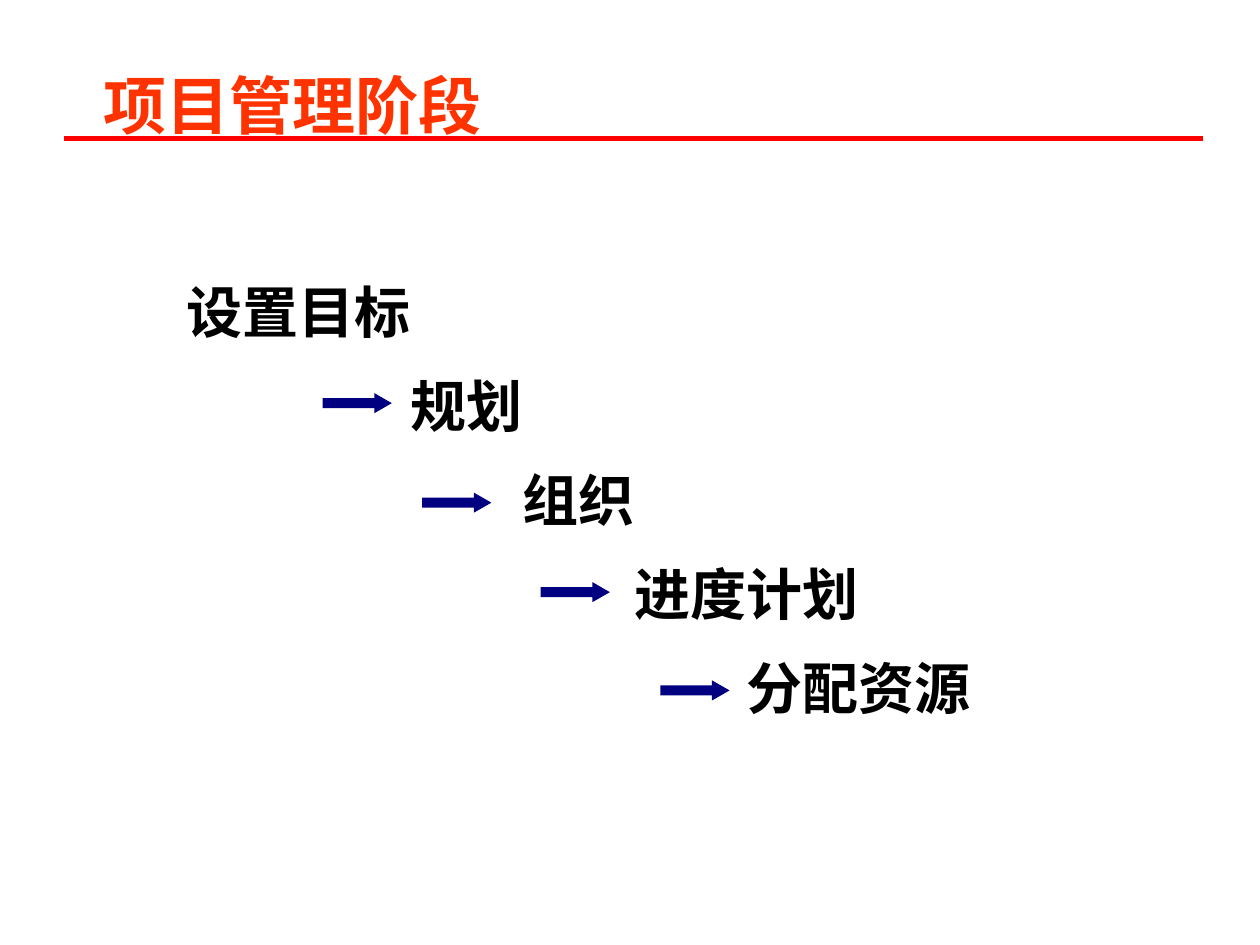
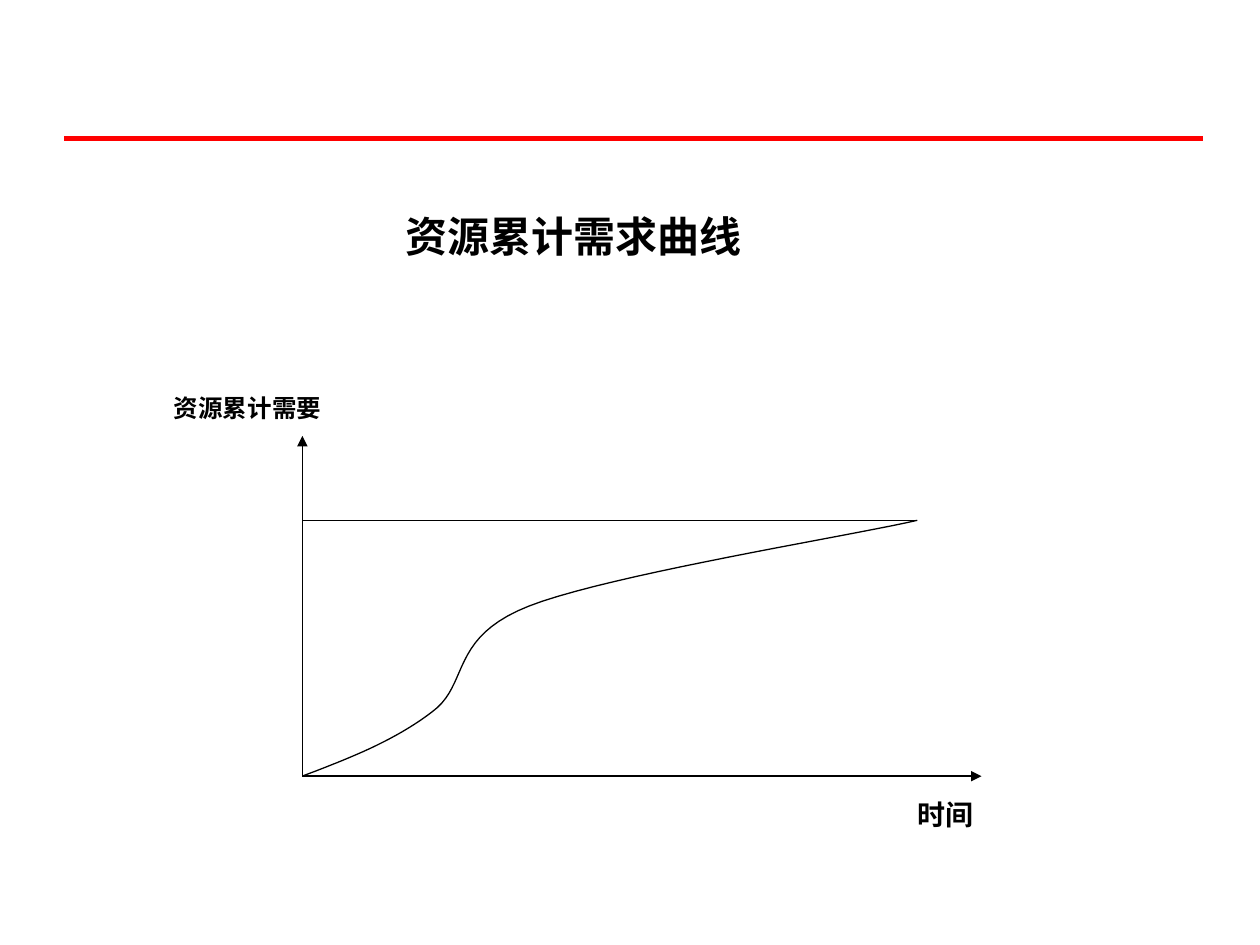
from dataclasses import dataclass

from lxml.etree import SubElement
from pptx import Presentation
from pptx.dml.color import RGBColor
from pptx.enum.shapes import MSO_CONNECTOR, MSO_SHAPE
from pptx.enum.text import MSO_ANCHOR, PP_ALIGN
from pptx.oxml.ns import qn
from pptx.util import Inches, Pt


@dataclass(frozen=True)
class Theme:
    title_color: RGBColor = RGBColor(0xFF, 0x33, 0x00)
    rule_color: RGBColor = RGBColor(0xFF, 0x00, 0x00)
    arrow_color: RGBColor = RGBColor(0x00, 0x00, 0x80)
    ink: RGBColor = RGBColor(0x00, 0x00, 0x00)
    sans: str = "Arial"
    serif: str = "Times New Roman"
    title_size: int = 36
    phase_size: int = 32
    heading_size: int = 24
    time_size: int = 16
    demand_size: int = 14
    rule_width: float = 3
    thin_width: float = 0.75


THEME = Theme()

# Phase names with their indent, counted in full-width characters
PHASES = [("设置目标", 0), ("规划", 4), ("组织", 6), ("进度计划", 8), ("分配资源", 10)]
PHASE_ARROWS = [(2.56, 3.12), (3.35, 3.91), (4.29, 4.62), (5.24, 5.4)]

# Chart corners and the Bezier segments of the demand curve
ORIGIN = (2.4, 6.16)
TIME_END = (7.79, 6.16)
DEMAND_END = (2.4, 3.46)
LIMIT_START = (2.4, 4.13)
CURVE_END = (7.28, 4.13)
CURVE = [
    (ORIGIN, (2.77, 6.02), (3.13, 5.88), (3.43, 5.65)),
    ((3.43, 5.65), (3.73, 5.43), (3.56, 5.06), (4.2, 4.81)),
    ((4.2, 4.81), (4.84, 4.56), (6.77, 4.25), CURVE_END),
]
CURVE_STEPS = 20


def apply_format(target, values):
    for name, value in values.items():
        setattr(target, name, value)


def add_text(page, area, lines, size, color=THEME.ink, font=THEME.sans,
             inset=(0.1, 0.05), align=PP_ALIGN.LEFT, spacing=None):
    """Add a bold text box; each line is a (text, indent in characters) pair."""
    box = page.shapes.add_textbox(*map(Inches, area))
    side, top = map(Inches, inset)
    apply_format(box.text_frame, {
        "word_wrap": True, "vertical_anchor": MSO_ANCHOR.TOP,
        "margin_left": side, "margin_right": side,
        "margin_top": top, "margin_bottom": top,
    })
    for index, (text, indent) in enumerate(lines):
        para = box.text_frame.paragraphs[0] if index == 0 else box.text_frame.add_paragraph()
        apply_format(para, {"alignment": align, "line_spacing": spacing})
        if indent:
            para._p.get_or_add_pPr().set("marL", str(Pt(size * indent)))
        span = para.add_run()
        span.text = text
        apply_format(span.font, {"name": font, "size": Pt(size), "bold": True})
        span.font.color.rgb = color


def add_line(page, start, end, color=THEME.ink, width=THEME.thin_width, arrow=False):
    line = page.shapes.add_connector(MSO_CONNECTOR.STRAIGHT, *map(Inches, start + end))
    line.line.color.rgb = color
    line.line.width = Pt(width)
    if arrow:
        SubElement(line.line._get_or_add_ln(), qn("a:tailEnd"), type="triangle")
    SubElement(line._element.spPr, qn("a:effectLst"))


def add_block_arrow(page, left, top):
    arrow = page.shapes.add_shape(MSO_SHAPE.RIGHT_ARROW, Inches(left), Inches(top),
                                  Inches(0.55), Inches(0.16))
    arrow.adjustments[0] = 0.5
    arrow.adjustments[1] = 0.87
    arrow.shadow.inherit = False
    arrow.fill.solid()
    arrow.fill.fore_color.rgb = THEME.arrow_color
    arrow.line.fill.background()


def bezier_point(segment, t):
    weights = ((1 - t) ** 3, 3 * t * (1 - t) ** 2, 3 * t ** 2 * (1 - t), t ** 3)
    return tuple(Inches(sum(w * p[axis] for w, p in zip(weights, segment))) for axis in (0, 1))


def add_curve(page, segments):
    points = [bezier_point(segment, step / CURVE_STEPS)
              for segment in segments for step in range(1, CURVE_STEPS + 1)]
    builder = page.shapes.build_freeform(*map(Inches, segments[0][0]))
    builder.add_line_segments(points, close=False)
    curve = builder.convert_to_shape()
    curve.shadow.inherit = False
    curve.fill.background()
    curve.line.color.rgb = THEME.ink
    curve.line.width = Pt(THEME.thin_width)


def add_page(deck):
    """Add a blank page with the red rule that all pages share."""
    page = deck.slides.add_slide(deck.slide_layouts[6])
    add_line(page, (0.51, 1.1), (9.55, 1.1), THEME.rule_color, THEME.rule_width)
    return page


def build_phases(deck):
    page = add_page(deck)
    add_text(page, (0.72, 0.48, 6.04, 0.7), [("项目管理阶段", 0)],
             THEME.title_size, THEME.title_color)
    add_text(page, (1.38, 1.94, 7.09, 4.58), PHASES, THEME.phase_size, spacing=1.4)
    for left, top in PHASE_ARROWS:
        add_block_arrow(page, left, top)


def build_demand_curve(deck):
    page = add_page(deck)
    add_text(page, (1.8, 1.62, 5.51, 0.5), [("资源累计需求曲线", 0)],
             THEME.heading_size, align=PP_ALIGN.CENTER)

    # Axes, upper limit and curve
    for axis_end in (TIME_END, DEMAND_END):
        add_line(page, ORIGIN, axis_end, arrow=True)
    add_line(page, LIMIT_START, CURVE_END)
    add_curve(page, CURVE)

    # Axis labels
    for text, area, size in [
        ("资源累计需要", (1.38, 3.12, 2.05, 0.34), THEME.demand_size),
        ("时间", (7.28, 6.33, 0.77, 0.34), THEME.time_size),
    ]:
        add_text(page, area, [(text, 0)], size, font=THEME.serif, inset=(0, 0))


def main():
    deck = Presentation()
    apply_format(deck, {"slide_width": Inches(10), "slide_height": Inches(7.5)})
    build_phases(deck)
    build_demand_curve(deck)
    deck.save("out.pptx")


if __name__ == "__main__":
    main()
